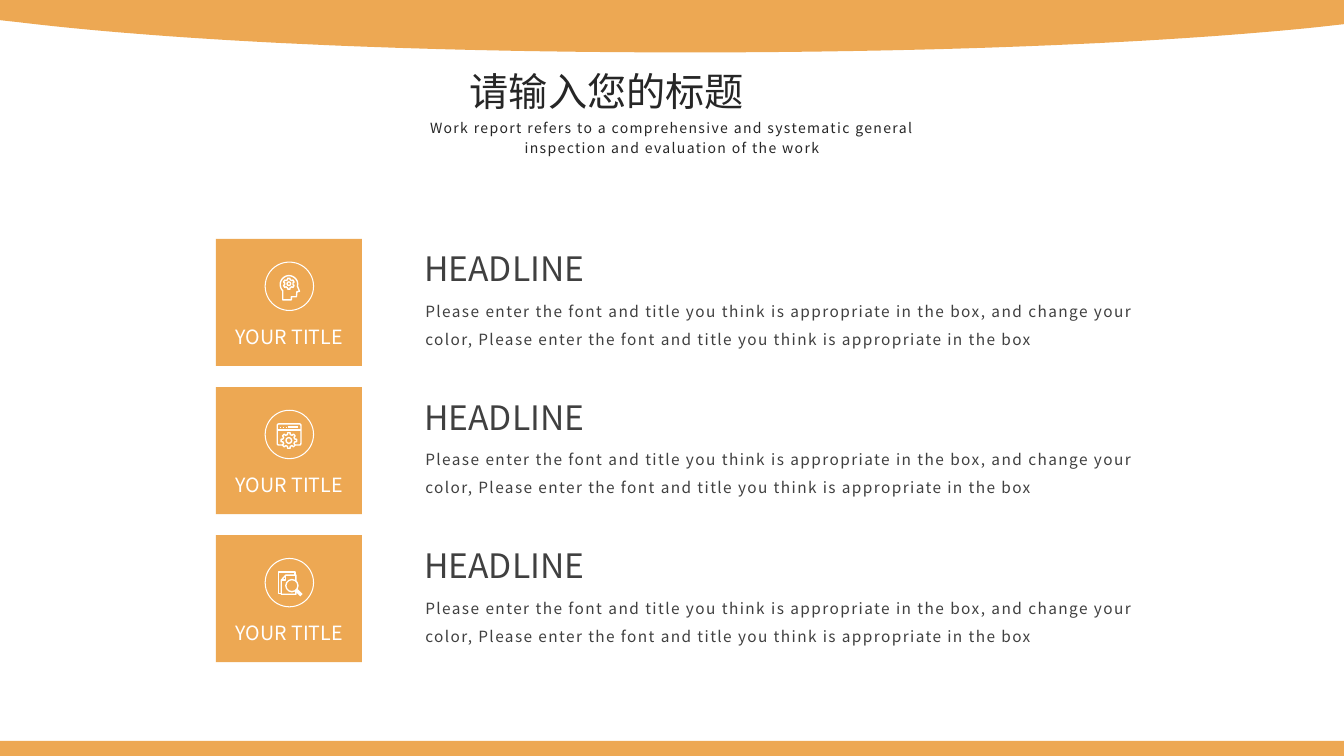
from math import cos, pi, sin

from lxml.etree import SubElement
from pptx import Presentation
from pptx.dml.color import RGBColor
from pptx.enum.shapes import MSO_CONNECTOR as Connector, MSO_SHAPE as Shape
from pptx.enum.text import MSO_ANCHOR as Anchor, PP_ALIGN as Align
from pptx.oxml.ns import qn
from pptx.util import Inches, Pt

ORANGE, WHITE, DARK, GRAY = "EDA853", "FFFFFF", "262626", "404040"
SUBTITLE = ("Work report refers to a comprehensive and systematic general "
            "inspection and evaluation of the work")
ADVICE = ("Please enter the font and title you think is appropriate in the box, "
          "and change your color, Please enter the font and title you think is "
          "appropriate in the box")


def color(value):
    return RGBColor.from_string(value)


def trace(start, *segments, steps=16):
    points = [start]
    for segment in segments:
        if len(segment) == 2:
            points.append(segment)
            continue
        x0, y0 = points[-1]
        x1, y1, x2, y2, x3, y3 = segment
        for step in range(1, steps + 1):
            t = step / steps
            a, b, c, d = (1 - t) ** 3, 3 * t * (1 - t) ** 2, 3 * t * t * (1 - t), t ** 3
            points.append((a * x0 + b * x1 + c * x2 + d * x3,
                           a * y0 + b * y1 + c * y2 + d * y3))
    return points


def gear_outline(x, y, outer, inner, teeth):
    points = []
    for tooth in range(teeth):
        for shift, radius in ((-0.3, inner), (-0.2, outer), (0.2, outer), (0.3, inner)):
            angle = 2 * pi * (tooth + shift) / teeth - pi / 2
            points.append((x + radius * cos(angle), y + radius * sin(angle)))
    return points


class Deck:
    font = "Noto Sans CJK SC"

    def __init__(self, presentation):
        self.slide = presentation.slides.add_slide(presentation.slide_layouts[5])
        self.shapes = self.slide.shapes

    def paint(self, shape, fill=None, line=None, width=1):
        shape.shadow.inherit = False
        if fill:
            shape.fill.solid()
            shape.fill.fore_color.rgb = color(fill)
        else:
            shape.fill.background()
        if line:
            shape.line.color.rgb = color(line)
            shape.line.width = Pt(width)
        else:
            shape.line.fill.background()

    def shape(self, kind, x, y, w, h, **style):
        item = self.shapes.add_shape(kind, Inches(x), Inches(y), Inches(w), Inches(h))
        self.paint(item, **style)

    def outline(self, points, closed=True, **style):
        corners = [(Inches(x), Inches(y)) for x, y in points]
        builder = self.shapes.build_freeform(*corners[0])
        builder.add_line_segments(corners[1:], close=closed)
        self.paint(builder.convert_to_shape(), **style)

    def line(self, x1, y1, x2, y2, width=1):
        item = self.shapes.add_connector(
            Connector.STRAIGHT, Inches(x1), Inches(y1), Inches(x2), Inches(y2))
        item.line.color.rgb = color(WHITE)
        item.line.width = Pt(width)
        SubElement(item._element.spPr, qn("a:effectLst"))

    def typeset(self, box, words, x, y, w, h, size, ink, align, leading=None, tracking=None):
        box.left, box.top, box.width, box.height = map(Inches, (x, y, w, h))
        frame = box.text_frame
        frame.word_wrap = True
        frame.vertical_anchor = Anchor.TOP
        frame.text = words
        paragraph = frame.paragraphs[0]
        paragraph.alignment = align
        if leading:
            paragraph.line_spacing = Pt(leading)
        font = paragraph.font
        font.size, font.name = Pt(size), self.font
        font.color.rgb = color(ink)
        SubElement(font._element, qn("a:ea")).set("typeface", self.font)
        if tracking:
            font._element.set("spc", str(tracking * 100))

    def title(self, *details, **spacing):
        self.typeset(self.shapes.title, *details, **spacing)

    def text(self, *details, **spacing):
        self.typeset(self.shapes.add_textbox(0, 0, 0, 0), *details, **spacing)


class Icon:
    def __init__(self, deck, x, y):
        self.deck, self.x, self.y = deck, x, y

    def place(self, x, y):
        return self.x + x / 100, self.y + y / 100

    def outline(self, points, fill=None, closed=True):
        self.deck.outline([self.place(*point) for point in points], closed,
                          fill=fill, line=WHITE)

    def ring(self, x, y, radius, fill=None):
        self.deck.shape(Shape.OVAL, *self.place(x - radius, y - radius),
                        radius / 50, radius / 50, fill=fill, line=WHITE)

    def line(self, x1, y1, x2, y2, width=1):
        self.deck.line(*self.place(x1, y1), *self.place(x2, y2), width)

    def gear(self, x, y, outer, inner, teeth, hub):
        self.outline(gear_outline(x, y, outer, inner, teeth), fill=ORANGE)
        self.ring(x, y, hub)

    def thinking_head(self):
        self.outline(trace(
            (-0.5, -10.5), (-5, -10.5, -9, -6.5, -9, -2), (-9, 1, -8, 3, -6.5, 4.5),
            (-6.5, 13.5), (2, 13.5), (2, 10.5), (7, 10.5), (7.5, 5.5), (10, 5),
            (8, 0), (8, -1, 8.5, -2, 8, -4), (7.5, -7, 4, -10.5, -0.5, -10.5)))
        self.gear(-0.5, -2.5, 5.5, 4.2, 6, 1.8)

    def settings_window(self):
        self.outline(trace(
            (-10, -10.5), (9.5, -10.5), (11, -10.5, 11.5, -10, 11.5, -8.5), (11.5, 8.5),
            (11.5, 10, 11, 10.5, 9.5, 10.5), (-10, 10.5),
            (-11.5, 10.5, -12, 10, -12, 8.5), (-12, -8.5),
            (-12, -10, -11.5, -10.5, -10, -10.5)))
        self.line(-12, -4.5, 11.5, -4.5)
        for dot in (-9, -6, -3):
            self.line(dot - 0.6, -7, dot + 0.6, -7)
        self.line(-1, -7, 9, -7, 1.25)
        self.gear(-0.5, 6, 7.8, 6, 8, 2.8)

    def document_search(self):
        self.outline([(-11, -10.5), (5.5, -10.5), (5.5, 10.5), (-11, 10.5)])
        self.outline([(-8, -2.5), (-3.5, -7.5), (6.5, -7.5), (6.5, 11.5), (-8, 11.5)],
                     fill=ORANGE)
        self.outline([(-8, -2.5), (-3.5, -2.5), (-3.5, -7.5)], closed=False)
        self.ring(2.5, 3, 6, fill=ORANGE)
        self.line(7, 7.5, 12, 12.5, 2.5)


def main():
    presentation = Presentation()
    presentation.slide_width, presentation.slide_height = Inches(13.33), Inches(7.5)
    deck = Deck(presentation)

    deck.outline(trace(
        (0, 0), (13.33, 0), (13.33, 0.24), (13.06, 0.27),
        (11.5, 0.43, 9.28, 0.52, 6.83, 0.52), (4.15, 0.52, 1.76, 0.41, 0.18, 0.22),
        (0, 0.2), steps=40), fill=ORANGE)
    deck.shape(Shape.RECTANGLE, 0, 7.35, 13.33, 0.17, fill=ORANGE)
    deck.title("请输入您的标题", 4.56, 0.62, 4.21, 0.57, 28, DARK, Align.JUSTIFY)
    deck.text(SUBTITLE, 3.74, 1.11, 5.85, 0.47, 10, DARK, Align.CENTER,
              leading=14, tracking=1)

    drawings = (Icon.thinking_head, Icon.settings_window, Icon.document_search)
    for row, draw in enumerate(drawings):
        card_top = 2.37 + 1.47 * row
        text_top = 2.41 + 1.475 * row
        deck.shape(Shape.RECTANGLE, 2.14, card_top, 1.45, 1.26, fill=ORANGE)
        draw(Icon(deck, 2.87, card_top + 0.47))
        deck.shape(Shape.OVAL, 2.63, card_top + 0.23, 0.48, 0.48, line=WHITE, width=0.75)
        deck.text("YOUR TITLE", 1.99, card_top + 0.8, 1.76, 0.34, 14, WHITE, Align.CENTER)
        deck.text("HEADLINE", 4.11, text_top, 2.21, 0.5, 24, GRAY, Align.JUSTIFY)
        deck.text(ADVICE, 4.12, text_top + 0.44, 7.22, 0.63, 11, GRAY, Align.JUSTIFY,
                  leading=20, tracking=1)

    presentation.save("out.pptx")


if __name__ == "__main__":
    main()
